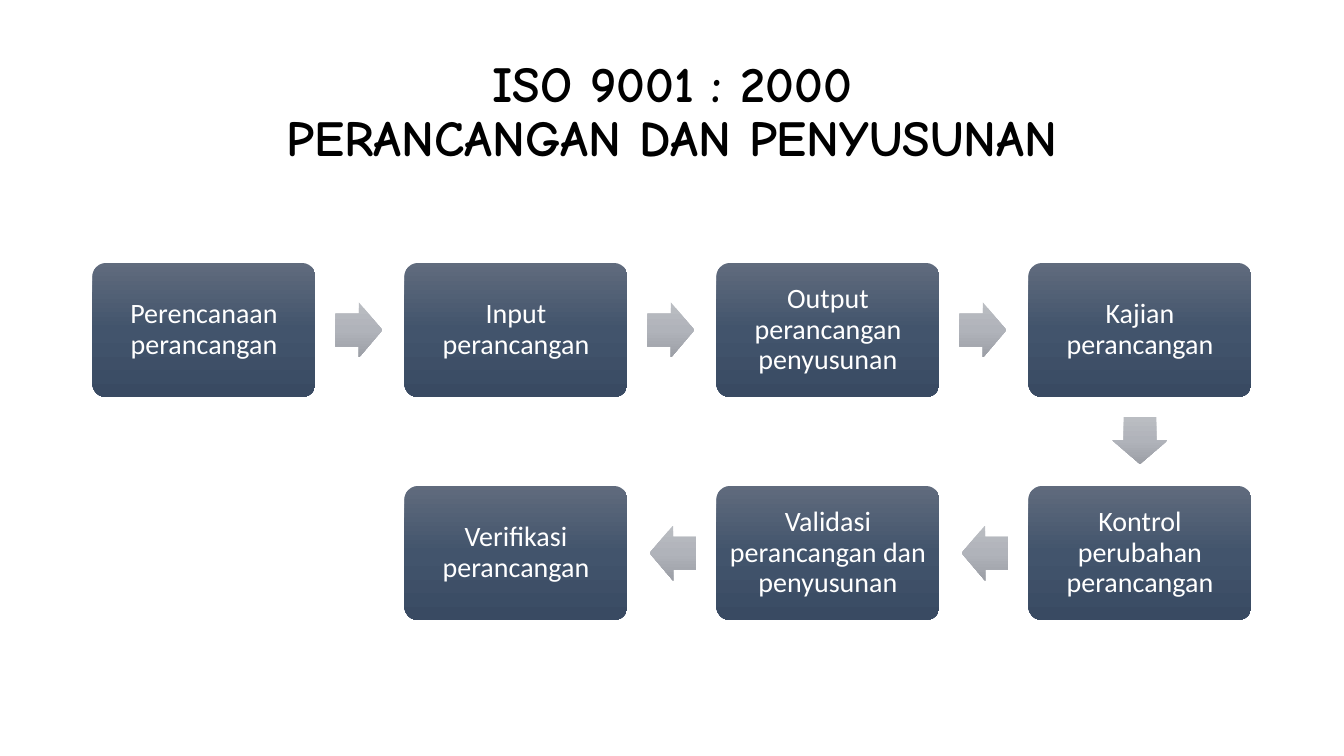
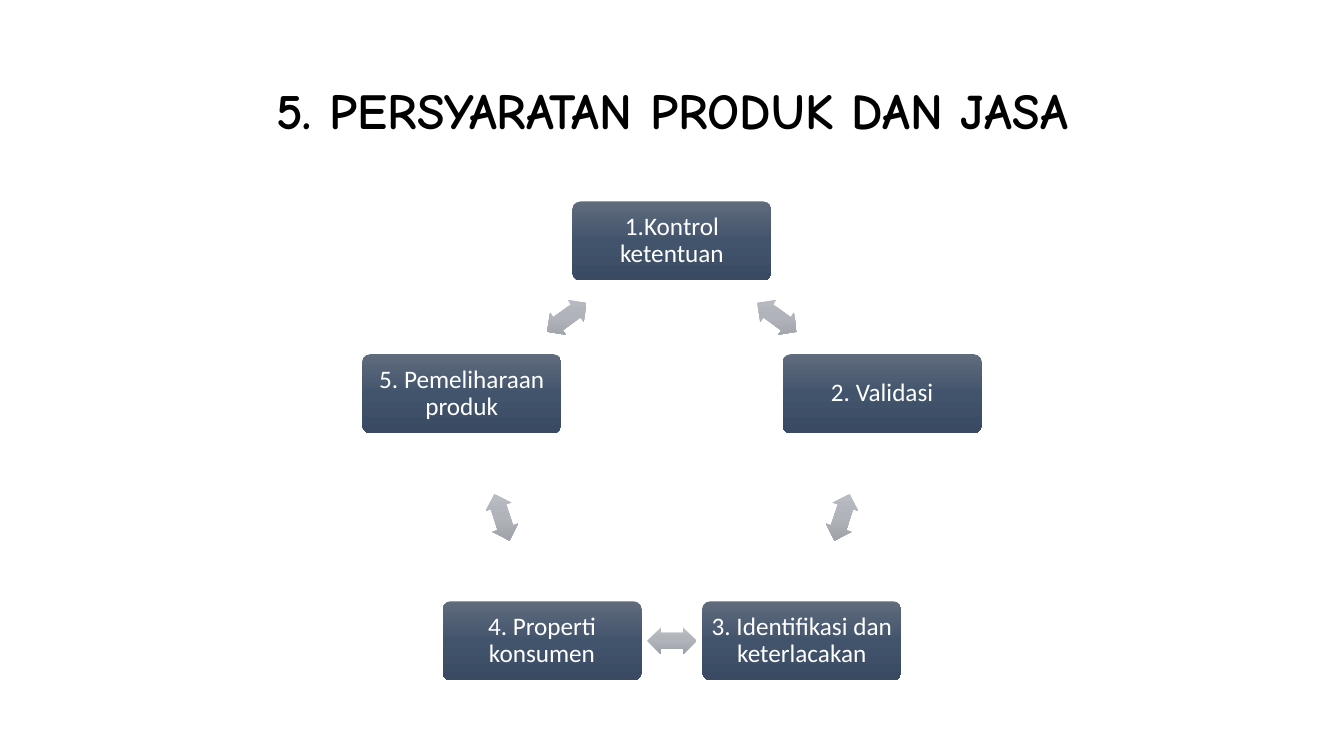
import copy
import math

import pptx
import pptx.dml.color
import pptx.enum.shapes
import pptx.enum.text
import pptx.util

EMU_PER_PX = 12192000 / 1344
SHAPES = pptx.enum.shapes.MSO_SHAPE


def px(length):
    return pptx.util.Emu(round(length * EMU_PER_PX))


def color(hex_text):
    return pptx.dml.color.RGBColor.from_string(hex_text)


class Diagram:
    """Holds the shared style and the slide being drawn."""

    TITLE_FONT, LABEL_FONT = "Comic Neue", "Calibri"
    TITLE_COLOR, LABEL_COLOR = "000000", "FFFFFF"
    BOX_COLORS = ("606B7D", "42546C", "394A62")
    ARROW_COLORS = ("BABDC2", "B0B3BA", "9C9FA6")

    def __init__(self):
        self.deck = pptx.Presentation()
        self.deck.slide_width, self.deck.slide_height = px(1344), px(756)
        self.page = None

    def add_page(self, title):
        self.page = self.deck.slides.add_slide(self.deck.slide_layouts[5])
        box = self.page.shapes.title
        box.left, box.top, box.width, box.height = px(92), px(40), px(1160), px(146)
        self.set_text(box, title, self.TITLE_FONT, 36, self.TITLE_COLOR, bold=True)

    def set_text(self, shape, text, font, size, text_color, bold=False):
        frame = shape.text_frame
        frame.text = text
        frame.word_wrap = True
        frame.vertical_anchor = pptx.enum.text.MSO_ANCHOR.MIDDLE
        para = frame.paragraphs[0]
        para.alignment = pptx.enum.text.PP_ALIGN.CENTER
        para.line_spacing = 0.9
        for span in para.runs:
            span.font.name, span.font.size = font, pptx.util.Pt(size)
            span.font.bold = bold
            span.font.color.rgb = color(text_color)

    def add_shape(self, kind, center, size, adjustments, colors):
        """Draw a borderless shape around its center, shaded from top to bottom."""
        (x, y), (width, height) = center, size
        shape = self.page.shapes.add_shape(
            kind, px(x - width / 2), px(y - height / 2), px(width), px(height))
        for index, value in enumerate(adjustments):
            shape.adjustments[index] = value
        shape.shadow.inherit = False
        shape.line.fill.background()
        shape.fill.gradient()
        shape.fill.gradient_angle = 270
        gradient = shape.fill._fill._gradFill
        gradient.set("rotWithShape", "0")
        gradient.gsLst.append(copy.deepcopy(gradient.gsLst[-1]))
        for stop, position, shade in zip(shape.fill.gradient_stops, (0, 0.5, 1), colors):
            stop.position = position
            stop.color.rgb = color(shade)
        return shape

    def add_box(self, center, size, text, font_size, inset):
        box = self.add_shape(SHAPES.ROUNDED_RECTANGLE, center, size, [0.1], self.BOX_COLORS)
        frame = box.text_frame
        frame.margin_left = frame.margin_right = px(inset)
        frame.margin_top = frame.margin_bottom = px(inset)
        self.set_text(box, text, self.LABEL_FONT, font_size, self.LABEL_COLOR)

    def add_arrow(self, kind, center, size, angle):
        arrow = self.add_shape(kind, center, size, [0.6, 0.5], self.ARROW_COLORS)
        arrow.rotation = angle % 360


def draw_process(diagram):
    diagram.add_page("ISO 9001 : 2000\vPERANCANGAN DAN PENYUSUNAN")
    box_size, arrow_size, gap = (223, 134), (47, 55), 20
    steps = [
        (0, 0, "Perencanaan perancangan"),
        (1, 0, "Input perancangan"),
        (2, 0, "Output perancangan penyusunan"),
        (3, 0, "Kajian perancangan"),
        (3, 1, "Kontrol perubahan perancangan"),
        (2, 1, "Validasi perancangan dan penyusunan"),
        (1, 1, "Verifikasi perancangan"),
    ]
    centers = [(204 + 312 * column, 330 + 223 * row) for column, row, _ in steps]
    for center, (_, _, text) in zip(centers, steps):
        diagram.add_box(center, box_size, text, 20, 8)
    for (column, row, _), (next_column, next_row, _), (x, y) in zip(steps, steps[1:], centers):
        across, down = next_column - column, next_row - row
        reach = gap + arrow_size[0] / 2
        center = (x + across * (box_size[0] / 2 + reach),
                  y + down * (box_size[1] / 2 + reach))
        angle = math.degrees(math.atan2(down, across))
        diagram.add_arrow(SHAPES.RIGHT_ARROW, center, arrow_size, angle)


def draw_cycle(diagram):
    diagram.add_page("5. PERSYARATAN PRODUK DAN JASA")
    labels = ["1.Kontrol ketentuan", "2. Validasi", "3. Identifikasi dan keterlacakan",
              "4. Properti konsumen", "5. Pemeliharaan produk"]
    middle_x, middle_y, radius = 672, 462, 221
    turn = 360 / len(labels)
    centers = [(middle_x + radius * math.sin(math.radians(turn * index)),
                middle_y - radius * math.cos(math.radians(turn * index)))
               for index in range(len(labels))]
    for center, text in zip(centers, labels):
        diagram.add_box(center, (199, 79), text, 18, 7)
    for index, (x, y) in enumerate(centers):
        next_x, next_y = centers[(index + 1) % len(centers)]
        diagram.add_arrow(SHAPES.LEFT_RIGHT_ARROW, ((x + next_x) / 2, (y + next_y) / 2),
                          (49, 27), turn * (index + 0.5))


def main():
    diagram = Diagram()
    draw_process(diagram)
    draw_cycle(diagram)
    diagram.deck.save("out.pptx")


if __name__ == "__main__":
    main()
